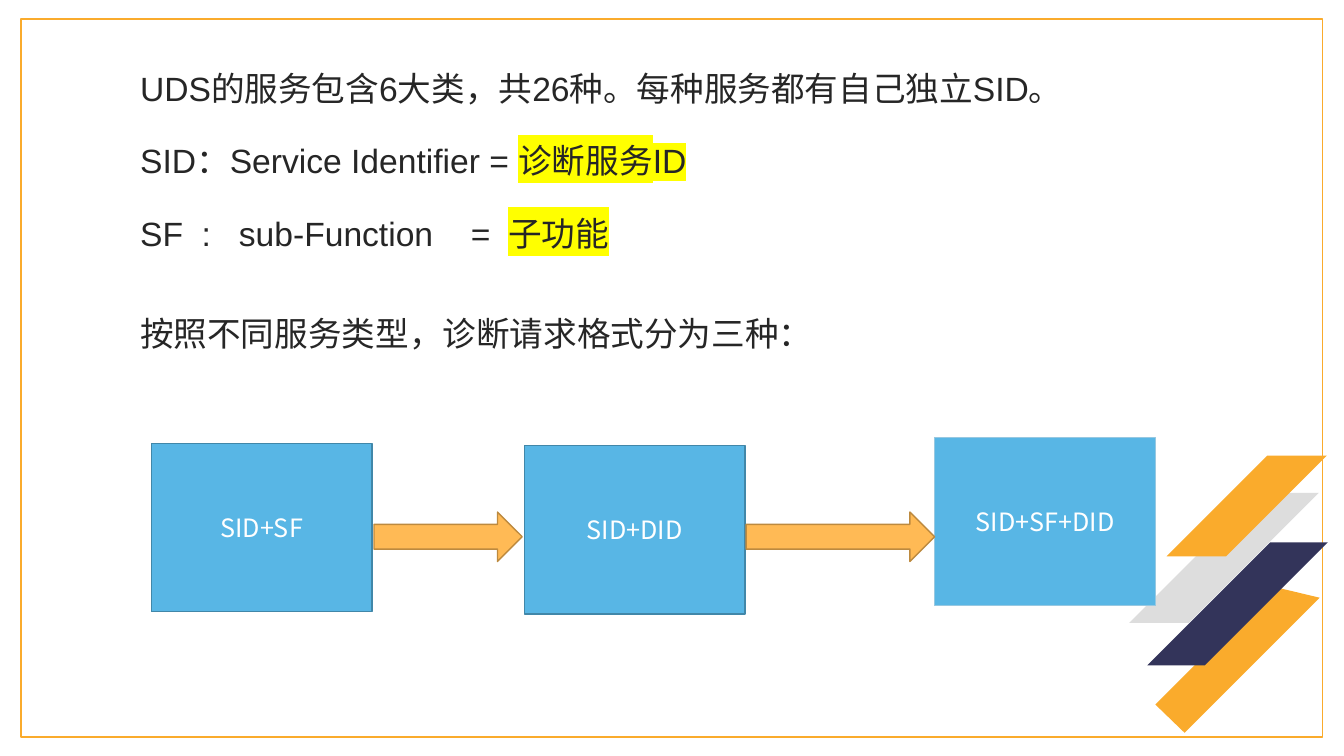
from lxml import etree
from pptx import Presentation
from pptx.dml.color import RGBColor
from pptx.enum.shapes import MSO_SHAPE as Preset
from pptx.enum.text import MSO_ANCHOR as Anchor, PP_ALIGN as Align
from pptx.oxml.ns import qn
from pptx.util import Inches, Pt

LATIN, CJK = "Arial", "Noto Sans CJK SC"
INK, WHITE, ORANGE = "262626", "FFFFFF", "FAAB2C"
GREY, NAVY, BLUE = "DDDDDD", "33345A", "58B6E5"
BLUE_EDGE, PALE_EDGE = "4187A9", "97C8E1"
ARROW_FILL, ARROW_EDGE = "FFBA55", "BD8A3F"
YELLOW = "FFFF00"


def color(value):
    return RGBColor.from_string(value)


def paint(shape, fill, line=None):
    shape.shadow.inherit = False
    shape.fill.solid()
    shape.fill.fore_color.rgb = color(fill)
    if line:
        shape.line.color.rgb = color(line)
        shape.line.width = Pt(1)
    else:
        shape.line.fill.background()


def add_preset(slide, preset, box, fill, line):
    shape = slide.shapes.add_shape(preset, *map(Inches, box))
    paint(shape, fill, line)
    return shape


def style_run(run, size, ink, latin, highlight=None):
    run.font.size = Pt(size)
    run.font.color.rgb = color(ink)
    run.font.name = latin
    properties = run.font._element
    east_asian = etree.Element(qn("a:ea"), typeface=CJK)
    properties.find(qn("a:latin")).addnext(east_asian)
    if highlight:
        marker = etree.Element(qn("a:highlight"))
        etree.SubElement(marker, qn("a:srgbClr"), val=highlight)
        properties.find(qn("a:solidFill")).addnext(marker)


def set_tabs(paragraph, stops):
    tab_list = etree.SubElement(paragraph._p.get_or_add_pPr(), qn("a:tabLst"))
    for stop in stops:
        etree.SubElement(tab_list, qn("a:tab"), pos=str(Inches(stop)), algn="l")


def add_text(slide, box, lines):
    """Each line is a plain part, a highlighted part and its tab stops."""
    frame = slide.shapes.add_textbox(*map(Inches, box)).text_frame
    frame.word_wrap = True
    frame.margin_left = frame.margin_right = 0
    frame.margin_top = frame.margin_bottom = 0
    for index, (plain, marked, stops) in enumerate(lines):
        paragraph = frame.add_paragraph() if index else frame.paragraphs[0]
        if index:
            paragraph.space_before = Pt(23)
        if stops:
            set_tabs(paragraph, stops)
        for text, highlight in ((plain, None), (marked, YELLOW)):
            if text:
                run = paragraph.add_run()
                run.text = text
                style_run(run, 24, INK, LATIN, highlight)


def add_polygon(slide, points, fill):
    corners = [(Inches(x), Inches(y)) for x, y in points]
    builder = slide.shapes.build_freeform(*corners[0])
    builder.add_line_segments(corners[1:])
    paint(builder.convert_to_shape(), fill)


def slanted_bar(left, bottom, width, rise):
    """Corners of a bar that leans right at 45 degrees."""
    return [(left, bottom), (left + rise, bottom - rise),
            (left + rise + width, bottom - rise), (left + width, bottom)]


def add_corner_stripes(slide, left, top):
    cut_bar = [(0.55, 2.75), (0.26, 2.47), (1.43, 1.3), (1.89, 1.41)]
    stripes = [
        (slanted_bar(0, 1.66, 0.59, 1.29), GREY),
        (cut_bar, ORANGE),
        (slanted_bar(0.18, 2.08, 0.57, 1.22), NAVY),
        (slanted_bar(0.37, 1, 0.59, 1), ORANGE),
    ]
    for points, fill in stripes:
        add_polygon(slide, [(left + x, top + y) for x, y in points], fill)


def add_format_box(slide, box, label, edge):
    shape = add_preset(slide, Preset.RECTANGLE, box, BLUE, edge)
    frame = shape.text_frame
    frame.text = label
    frame.vertical_anchor = Anchor.MIDDLE
    frame.paragraphs[0].alignment = Align.CENTER
    style_run(frame.paragraphs[0].runs[0], 18, WHITE, CJK)


def add_format_flow(slide, left, top):
    width, height = 2.19, 1.67
    for x, y, label, edge in [
        (0, 0.06, "SID+SF", BLUE_EDGE),
        (3.7, 0.08, "SID+DID", BLUE_EDGE),
        (7.77, 0, "SID+SF+DID", PALE_EDGE),
    ]:
        add_format_box(slide, (left + x, top + y, width, height), label, edge)
    for x, length in [(2.21, 1.47), (5.9, 1.87)]:
        add_preset(slide, Preset.RIGHT_ARROW,
                   (left + x, top + 0.74, length, 0.49), ARROW_FILL, ARROW_EDGE)


def build_service_slide(presentation):
    slide = presentation.slides.add_slide(presentation.slide_layouts[6])
    add_preset(slide, Preset.RECTANGLE, (0.21, 0.19, 12.91, 7.12), WHITE, ORANGE)
    add_text(slide, (1.39, 0.67, 11.07, 2.1), [
        ("UDS的服务包含6大类，共26种。每种服务都有自己独立SID。", "", ()),
        ("SID：Service Identifier = ", "诊断服务ID", ()),
        ("SF\t:\tsub-Function\t=\t", "子功能", (0.61, 0.98, 3.28, 3.65)),
    ])
    add_corner_stripes(slide, 11.2, 4.52)
    add_format_flow(slide, 1.5, 4.34)
    add_text(slide, (1.39, 3.1, 10.39, 0.5),
             [("按照不同服务类型，诊断请求格式分为三种：", "", ())])


def main():
    presentation = Presentation()
    presentation.slide_width = Inches(13.33)
    presentation.slide_height = Inches(7.5)
    build_service_slide(presentation)
    presentation.save("out.pptx")


if __name__ == "__main__":
    main()
